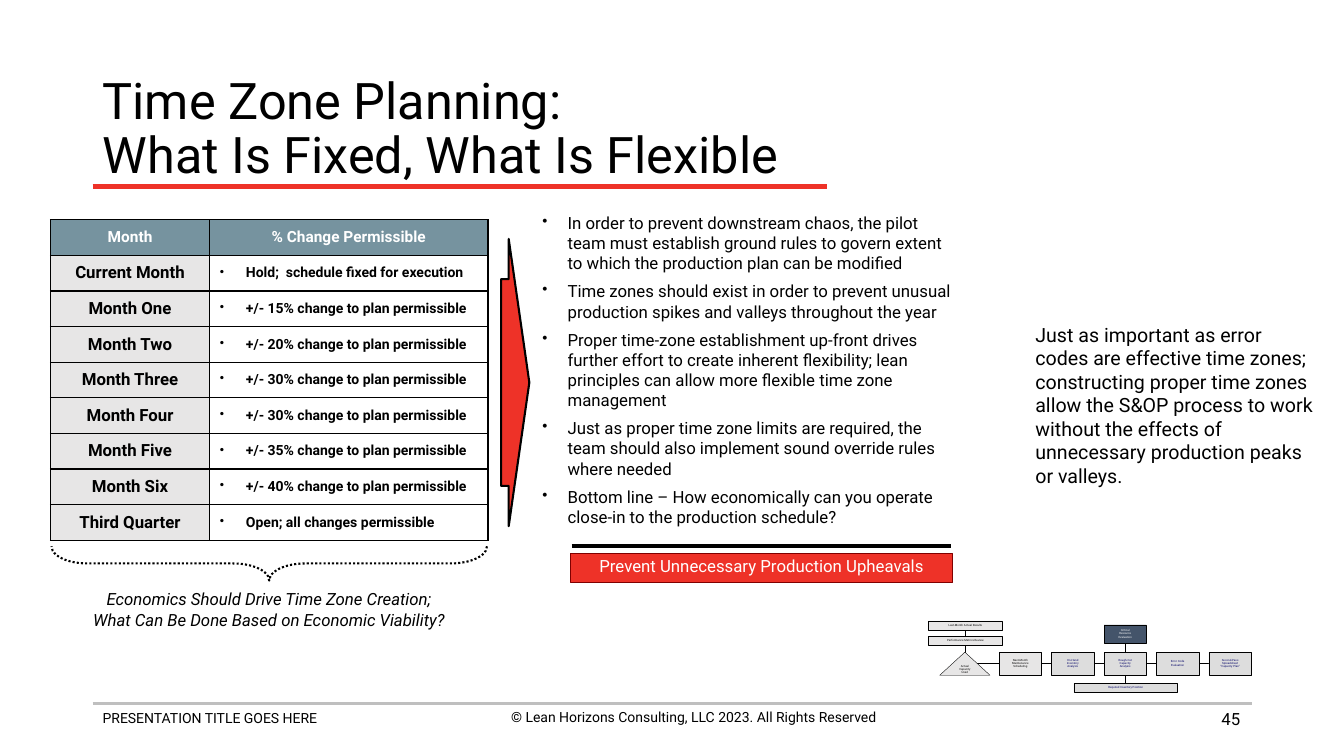
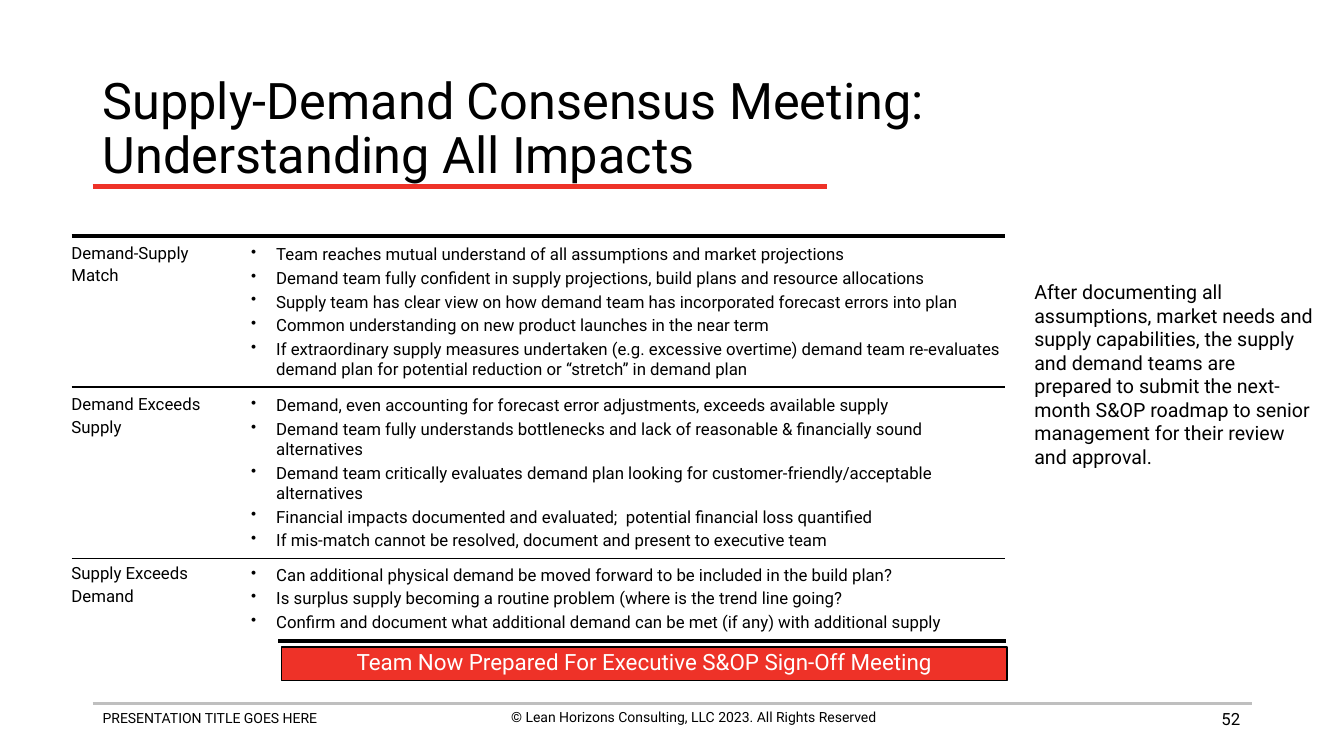
from lxml import etree
from pptx import Presentation
from pptx.dml.color import RGBColor
from pptx.enum.dml import MSO_LINE
from pptx.enum.shapes import MSO_CONNECTOR, MSO_SHAPE
from pptx.enum.text import MSO_ANCHOR, PP_ALIGN
from pptx.oxml.ns import qn
from pptx.util import Inches, Pt

CENTER = {"alignment": PP_ALIGN.CENTER}
MIDDLE = {"vertical_anchor": MSO_ANCHOR.MIDDLE}
WRAP = {"word_wrap": True}
SNUG = {
    "margin_left": Inches(0.08), "margin_right": Inches(0.08),
    "margin_top": Inches(0.04), "margin_bottom": Inches(0.04), **WRAP,
}
BADGE = {"word_wrap": False, **MIDDLE}
TIGHT = {"line_spacing": 0.8, **CENTER}

THEME = {
    "font": "Roboto",
    "colors": {
        "black": "000000", "white": "FFFFFF", "red": "EE3228", "maroon": "800000",
        "silver": "BFBFBF", "slate": "76939F", "pale": "E7E6E6", "gray": "DDDDDD",
        "navy": "000066", "steel": "44546A",
    },
    "styles": {
        "title": {"size": 36, "frame": {**WRAP, **MIDDLE}, "paragraph": {"line_spacing": 0.9}},
        "footer": {"size": 10, "frame": WRAP},
        "copyright": {"size": 10, "frame": WRAP, "paragraph": CENTER},
        "number": {"size": 12, "frame": {**WRAP, **MIDDLE},
                   "paragraph": {"alignment": PP_ALIGN.RIGHT}},
        "comment": {"size": 14, "frame": WRAP},
        "points": {"size": 12, "frame": SNUG, "gap": 5.7, "indent": 0.25},
        "impacts": {"size": 12, "frame": SNUG, "gap": 2.5, "indent": 0.25},
        "case": {"size": 12, "frame": WRAP, "gap": 2.5, "paragraph": {"line_spacing": 0.95}},
        "caption": {"size": 12, "frame": WRAP, "gap": 2.5, "font": {"italic": True},
                    "paragraph": {"line_spacing": 0.9, **CENTER}},
        "banner": {"size": 12, "frame": BADGE, "paragraph": TIGHT, "color": "white"},
        "big banner": {"size": 16, "frame": BADGE, "paragraph": TIGHT, "color": "white"},
        "step": {"size": 2, "frame": BADGE, "paragraph": TIGHT, "gap": 0.4},
        "navy step": {"size": 2, "frame": BADGE, "paragraph": TIGHT, "gap": 0.4, "color": "navy"},
        "white step": {"size": 2, "frame": BADGE, "paragraph": TIGHT, "gap": 0.4, "color": "white"},
        "heading": {"size": 11, "font": {"bold": True}, "paragraph": CENTER, "color": "white"},
        "month": {"size": 12, "font": {"bold": True}, "paragraph": CENTER},
        "change": {"size": 10, "font": {"bold": True}, "indent": 0.26},
    },
}


def color(name):
    return RGBColor.from_string(THEME["colors"][name])


def write(frame, lines, style_name):
    style = THEME["styles"][style_name]
    for name, value in style.get("frame", {}).items():
        setattr(frame, name, value)
    for index, line in enumerate(lines):
        paragraph = frame.add_paragraph() if index else frame.paragraphs[0]
        paragraph.text = line
        if "indent" in style:
            props = paragraph._p.get_or_add_pPr()
            props.set("marL", str(Inches(style["indent"])))
            props.set("indent", str(-Inches(style["indent"])))
            etree.SubElement(props, qn("a:buSzPct")).set("val", "90000")
            etree.SubElement(props, qn("a:buChar")).set("char", "•")
        for name, value in style.get("paragraph", {}).items():
            setattr(paragraph, name, value)
        if index and "gap" in style:
            paragraph.space_before = Pt(style["gap"])
        for run in paragraph.runs:
            font = {"name": THEME["font"], "size": Pt(style["size"]), **style.get("font", {})}
            for name, value in font.items():
                setattr(run.font, name, value)
            run.font.color.rgb = color(style.get("color", "black"))


RECT = MSO_SHAPE.RECTANGLE

flow_steps = [
    ("pale", "step", ["Next-Month", "Maintenance", "Scheduling"]),
    ("gray", "navy step", ["On-Hand", "Inventory", "Analysis"]),
    ("gray", "navy step", ["Rough-Cut", "Capacity", "Analysis"]),
    ("gray", "navy step", ["Error Code", "Evaluation"]),
    ("gray", "navy step", ["Second-Pass", "Spreadsheet", "“Capacity Plan”"]),
]
flow = [
    (RECT, (9.91 + 0.52 * i, 6.47, 0.42, 0.23), fill, "black", 0.25, style, lines)
    for i, (fill, style, lines) in enumerate(flow_steps)
] + [
    (MSO_SHAPE.ISOSCELES_TRIANGLE, (9.32, 6.47, 0.5, 0.23), "pale", "black", 0.25, "step",
     ["Actual", "Capacity", "Used"]),
    (RECT, (10.95, 6.2, 0.42, 0.18), "steel", "black", 0.25, "white step",
     ["Critical", "Resource", "Evaluation"]),
    (RECT, (9.21, 6.16, 0.73, 0.09), "pale", "black", 0.25, "step",
     ["Last-Month Actual Results"]),
    (RECT, (9.21, 6.31, 0.73, 0.09), "pale", "black", 0.25, "step",
     ["Performance Metrics Review"]),
    (RECT, (10.65, 6.78, 1.03, 0.09), "gray", "black", 0.25, "navy step",
     ["Required Inventory Position"]),
]

time_zones = {
    "title": "Time Zone Planning:\vWhat Is Fixed, What Is Flexible",
    "number": "45",
    "texts": [
        ("comment", (10.17, 3.15, 3.01, 1.75), [
            "Just as important as error codes are effective time zones; constructing proper "
            "time zones allow the S&OP process to work without the effects of unnecessary "
            "production peaks or valleys."]),
        ("points", (5.3, 2.07, 4.23, 3.27), [
            "In order to prevent downstream chaos, the pilot team must establish ground rules "
            "to govern extent to which the production plan can be modified",
            "Time zones should exist in order to prevent unusual production spikes and valleys "
            "throughout the year",
            "Proper time-zone establishment up-front drives further effort to create inherent "
            "flexibility; lean principles can allow more flexible time zone management",
            "Just as proper time zone limits are required, the team should also implement "
            "sound override rules where needed",
            "Bottom line – How economically can you operate close-in to the production "
            "schedule?"]),
        ("caption", (0.11, 5.81, 5.12, 0.5), [
            "Economics Should Drive Time Zone Creation;",
            "What Can Be Done Based on Economic Viability?"]),
    ],
    "rules": [
        ((5.67, 5.42, 9.43, 5.42), "black", 3),
        ((11.16, 6.28, 11.16, 6.82), "black", 0.25),
        ((9.66, 6.58, 12.15, 6.58), "black", 0.25),
        ((9.57, 6.19, 9.57, 6.49), "black", 0.25),
    ],
    "shapes": [
        (RECT, (5.66, 5.49, 3.79, 0.29), "red", "maroon", 1, "banner",
         ["Prevent Unnecessary Production Upheavals"]),
    ] + flow,
    "changes": [
        ("Month", "% Change Permissible"),
        ("Current Month", "Hold;  schedule fixed for execution"),
        ("Month One", "+/- 15% change to plan permissible"),
        ("Month Two", "+/- 20% change to plan permissible"),
        ("Month Three", "+/- 30% change to plan permissible"),
        ("Month Four", "+/- 30% change to plan permissible"),
        ("Month Five", "+/- 35% change to plan permissible"),
        ("Month Six", "+/- 40% change to plan permissible"),
        ("Third Quarter", "Open; all changes permissible"),
    ],
}

cases = [
    (2.38, 1.45, ["Demand-Supply", "Match"], [
        "Team reaches mutual understand of all assumptions and market projections",
        "Demand team fully confident in supply projections, build plans and resource allocations",
        "Supply team has clear view on how demand team has incorporated forecast errors into plan",
        "Common understanding on new product launches in the near term",
        "If extraordinary supply measures undertaken (e.g. excessive overtime) demand team "
        "re-evaluates demand plan for potential reduction or “stretch” in demand plan"]),
    (3.88, 1.66, ["Demand Exceeds", "Supply"], [
        "Demand, even accounting for forecast error adjustments, exceeds available supply",
        "Demand team fully understands bottlenecks and lack of reasonable & financially sound "
        "alternatives",
        "Demand team critically evaluates demand plan looking for customer-friendly/acceptable "
        "alternatives",
        "Financial impacts documented and evaluated;  potential financial loss quantified",
        "If mis-match cannot be resolved, document and present to executive team"]),
    (5.56, 0.77, ["Supply Exceeds", "Demand"], [
        "Can additional physical demand be moved forward to be included in the build plan?",
        "Is surplus supply becoming a routine problem (where is the trend line going?",
        "Confirm and document what additional demand can be met (if any) with additional "
        "supply"]),
]

consensus = {
    "title": "Supply-Demand Consensus Meeting:\vUnderstanding All Impacts",
    "number": "52",
    "texts": [
        ("comment", (10.16, 2.73, 3.01, 1.99), [
            "After documenting all assumptions, market needs and supply capabilities, the "
            "supply and demand teams are prepared to submit the next-month S&OP roadmap to "
            "senior management for their review and approval."]),
    ] + [
        ("case", (0.61, top - 0.01, 2.22, 0.56), label) for top, _, label, _ in cases
    ] + [
        ("impacts", (2.41, top, 7.61, height), impacts) for top, height, _, impacts in cases
    ],
    "rules": [
        ((0.71, y, 9.97, y), "black", weight) for y, weight in [(2.34, 3), (3.84, 1), (5.54, 1)]
    ] + [((2.76, 6.36, 9.98, 6.36), "black", 3)],
    "shapes": [
        (RECT, (2.79, 6.42, 7.2, 0.33), "red", "black", 1, "big banner",
         ["Team Now Prepared For Executive S&OP Sign-Off Meeting"]),
    ],
}

shared_rules = [
    ((0.92, 6.98, 12.42, 6.98), "silver", 2),
    ((0.92, 1.85, 8.2, 1.85), "red", 3),
]
shared_texts = [
    ("footer", (0.92, 6.99, 4.56, 0.44), ["PRESENTATION TITLE GOES HERE"]),
    ("copyright", (4.6, 6.98, 4.56, 0.44),
     ["© Lean Horizons Consulting, LLC 2023. All Rights Reserved"]),
]

deck = Presentation()
deck.slide_width, deck.slide_height = Inches(13.33), Inches(7.5)

for content in (time_zones, consensus):
    slide = deck.slides.add_slide(deck.slide_layouts[6])

    for ends, ink, weight in shared_rules + content["rules"]:
        rule = slide.shapes.add_connector(MSO_CONNECTOR.STRAIGHT, *map(Inches, ends))
        rule.line.color.rgb = color(ink)
        rule.line.width = Pt(weight)
        etree.SubElement(rule._element.spPr, qn("a:effectLst"))

    headers = [
        ("title", (0.92, 0.74, 11.5, 1.1), [content["title"]]),
        ("number", (9.4, 6.93, 3, 0.4), [content["number"]]),
    ]
    for style, place, lines in shared_texts + headers + content["texts"]:
        write(slide.shapes.add_textbox(*map(Inches, place)).text_frame, lines, style)

    for kind, place, fill, ink, weight, style, lines in content["shapes"]:
        block = slide.shapes.add_shape(kind, *map(Inches, place))
        block.shadow.inherit = False
        block.fill.solid()
        block.fill.fore_color.rgb = color(fill)
        block.line.color.rgb = color(ink)
        block.line.width = Pt(weight)
        write(block.text_frame, lines, style)

    if "changes" not in content:
        continue

    changes = content["changes"]
    table = slide.shapes.add_table(
        len(changes), 2, Inches(0.5), Inches(2.18), Inches(4.34), Inches(3.18)).table
    table.first_row = table.horz_banding = False
    table.columns[0].width, table.columns[1].width = Inches(1.58), Inches(2.76)
    for row, texts in enumerate(changes):
        for column, text in enumerate(texts):
            cell = table.cell(row, column)
            cell.vertical_anchor = MSO_ANCHOR.MIDDLE
            for side in ("lnL", "lnR", "lnT", "lnB"):
                edge = etree.SubElement(
                    cell._tc.get_or_add_tcPr(), qn(f"a:{side}"), w=str(Pt(1)))
                paint = etree.SubElement(edge, qn("a:solidFill"))
                etree.SubElement(paint, qn("a:srgbClr"), val=THEME["colors"]["black"])
            if row and column:
                cell.fill.background()
            else:
                cell.fill.solid()
                cell.fill.fore_color.rgb = color("pale" if row else "slate")
            write(cell.text_frame, [text], ("month", "change")[column] if row else "heading")

    arrow = slide.shapes.add_shape(
        MSO_SHAPE.RIGHT_ARROW, *map(Inches, (4.97, 2.37, 0.28, 2.85)))
    arrow.adjustments[0], arrow.adjustments[1] = 0.72, 0.73
    arrow.fill.solid()
    arrow.fill.fore_color.rgb = color("red")
    brace = slide.shapes.add_shape(
        MSO_SHAPE.RIGHT_BRACE, *map(Inches, (2.5, 3.43, 0.34, 4.32)))
    brace.adjustments[0], brace.adjustments[1] = 1.05, 0.5
    brace.rotation = 90
    brace.fill.background()
    brace.line.dash_style = MSO_LINE.ROUND_DOT
    for pointer in (arrow, brace):
        pointer.shadow.inherit = False
        pointer.line.color.rgb = color("black")
        pointer.line.width = Pt(1.5)

deck.save("out.pptx")
